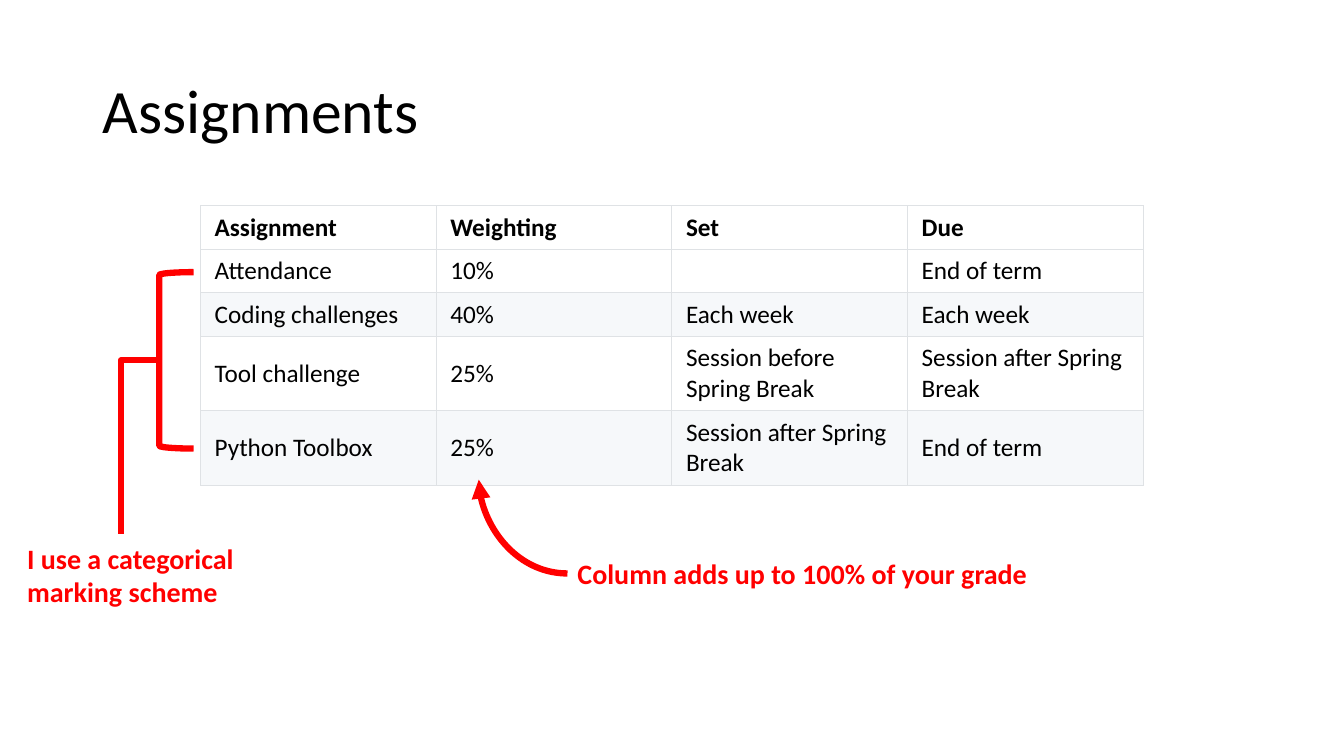
from dataclasses import dataclass
from lxml.etree import SubElement
from pptx import Presentation
from pptx.dml.color import RGBColor
from pptx.enum.shapes import MSO_CONNECTOR, MSO_SHAPE
from pptx.enum.text import MSO_ANCHOR, MSO_AUTO_SIZE, PP_ALIGN
from pptx.oxml.ns import qn
from pptx.util import Inches, Pt

SLIDE_WIDTH, SLIDE_HEIGHT = Inches(13.33), Inches(7.5)
COLUMN, ROW = SLIDE_WIDTH / 40, SLIDE_HEIGHT / 30


@dataclass(frozen=True)
class Theme:
    font: str = "Calibri"
    ink: str = "000000"
    accent: str = "FF0000"
    border: str = "DFE2E5"
    plain_row: str = "FFFFFF"
    shaded_row: str = "F6F8FA"
    title_size: int = 44
    note_size: int = 20
    table_size: int = 18
    border_width: float = 0.75
    mark_width: float = 4.5


THEME = Theme()


@dataclass(frozen=True)
class Box:
    left: float
    top: float
    width: float
    height: float

    def inner(self, left, top, width, height):
        return Box(self.left + left, self.top + top, width, height)

    def point(self, across, down):
        return int((self.left + across) * COLUMN), int((self.top + down) * ROW)

    def frame(self):
        return *self.point(0, 0), int(self.width * COLUMN), int(self.height * ROW)


ASSIGNMENTS = [
    ("Assignment", "Weighting", "Set", "Due"),
    ("Attendance", "10%", "", "End of term"),
    ("Coding challenges", "40%", "Each week", "Each week"),
    ("Tool challenge", "25%", "Session before Spring Break", "Session after Spring Break"),
    ("Python Toolbox", "25%", "Session after Spring Break", "End of term"),
]
ROW_HEIGHTS = [1.73, 1.73, 1.73, 2.95, 2.95]


def style(paragraph, size, color, bold=False):
    paragraph.font.name = THEME.font
    paragraph.font.size = Pt(size)
    paragraph.font.bold = bold
    paragraph.font.color.rgb = RGBColor.from_string(color)


def mark_line(line):
    line.color.rgb = RGBColor.from_string(THEME.accent)
    line.width = Pt(THEME.mark_width)


def add_title(slide, box):
    title = slide.shapes.title
    title.left, title.top, title.width, title.height = box.frame()
    title.text_frame.text = "Assignments"
    title.text_frame.vertical_anchor = MSO_ANCHOR.MIDDLE
    heading = title.text_frame.paragraphs[0]
    heading.alignment = PP_ALIGN.LEFT
    heading.line_spacing = 0.9
    style(heading, THEME.title_size, THEME.ink)


def add_borders(cell):
    properties = cell._tc.get_or_add_tcPr()
    for side in ("a:lnL", "a:lnR", "a:lnT", "a:lnB"):
        edge = SubElement(properties, qn(side), w=str(Pt(THEME.border_width)))
        fill = SubElement(edge, qn("a:solidFill"))
        SubElement(fill, qn("a:srgbClr"), val=THEME.border)


def add_assignments(slide, box):
    table = slide.shapes.add_table(len(ASSIGNMENTS), len(ASSIGNMENTS[0]), *box.frame()).table
    table.horz_banding = False
    for index, (entries, height) in enumerate(zip(ASSIGNMENTS, ROW_HEIGHTS)):
        table.rows[index].height = int(height * ROW)
        shaded = index > 0 and index % 2 == 0
        for cell, entry in zip(table.rows[index].cells, entries):
            cell.text = entry
            cell.vertical_anchor = MSO_ANCHOR.MIDDLE
            cell.margin_left = cell.margin_right = Inches(0.14)
            cell.margin_top = cell.margin_bottom = Inches(0.06)
            style(cell.text_frame.paragraphs[0], THEME.table_size, THEME.ink, index == 0)
            add_borders(cell)
            cell.fill.solid()
            cell.fill.fore_color.rgb = RGBColor.from_string(
                THEME.shaded_row if shaded else THEME.plain_row)


def add_note(slide, box, lines):
    note = slide.shapes.add_textbox(*box.frame()).text_frame
    note.text = "\n".join(lines)
    note.word_wrap = False
    note.auto_size = MSO_AUTO_SIZE.SHAPE_TO_FIT_TEXT
    for paragraph in note.paragraphs:
        style(paragraph, THEME.note_size, THEME.accent, True)


def add_pointer(slide, kind, preset, start, end):
    pointer = slide.shapes.add_connector(kind, *start, *end)
    mark_line(pointer.line)
    properties = pointer._element.spPr
    properties.find(qn("a:prstGeom")).set("prst", preset)
    SubElement(properties, qn("a:effectLst"))
    return pointer


def add_weighting_note(slide, box):
    add_note(slide, box.inner(2.64, 2.84, 14.1, 1.76), ["Column adds up to 100% of your grade"])
    arrow = add_pointer(slide, MSO_CONNECTOR.CURVE, "curvedConnector2",
                        box.point(2.64, 3.72), box.point(0, 0))
    SubElement(arrow.line._get_or_add_ln(), qn("a:tailEnd"), type="triangle")


def add_marking_note(slide, box):
    add_note(slide, box.inner(0, 10.48, 6.81, 3.08), ["I use a categorical", "marking scheme"])
    bracket = slide.shapes.add_shape(MSO_SHAPE.LEFT_BRACKET, *box.inner(4.23, 0, 1.02, 7).frame())
    bracket.shadow.inherit = False
    bracket.fill.background()
    mark_line(bracket.line)
    add_pointer(slide, MSO_CONNECTOR.ELBOW, "bentConnector2",
                box.point(4.23, 3.5), box.point(3.09, 10.4))


def main():
    presentation = Presentation()
    presentation.slide_width, presentation.slide_height = SLIDE_WIDTH, SLIDE_HEIGHT
    slide = presentation.slides.add_slide(presentation.slide_layouts.get_by_name("Title Only"))
    add_title(slide, Box(2.76, 1.6, 34.5, 5.8))
    add_assignments(slide, Box(5.97, 8.16, 28.06, sum(ROW_HEIGHTS)))
    add_weighting_note(slide, Box(14.25, 19.04, 16.74, 4.6))
    add_marking_note(slide, Box(0.51, 10.8, 6.81, 13.56))
    presentation.save("out.pptx")


if __name__ == "__main__":
    main()
